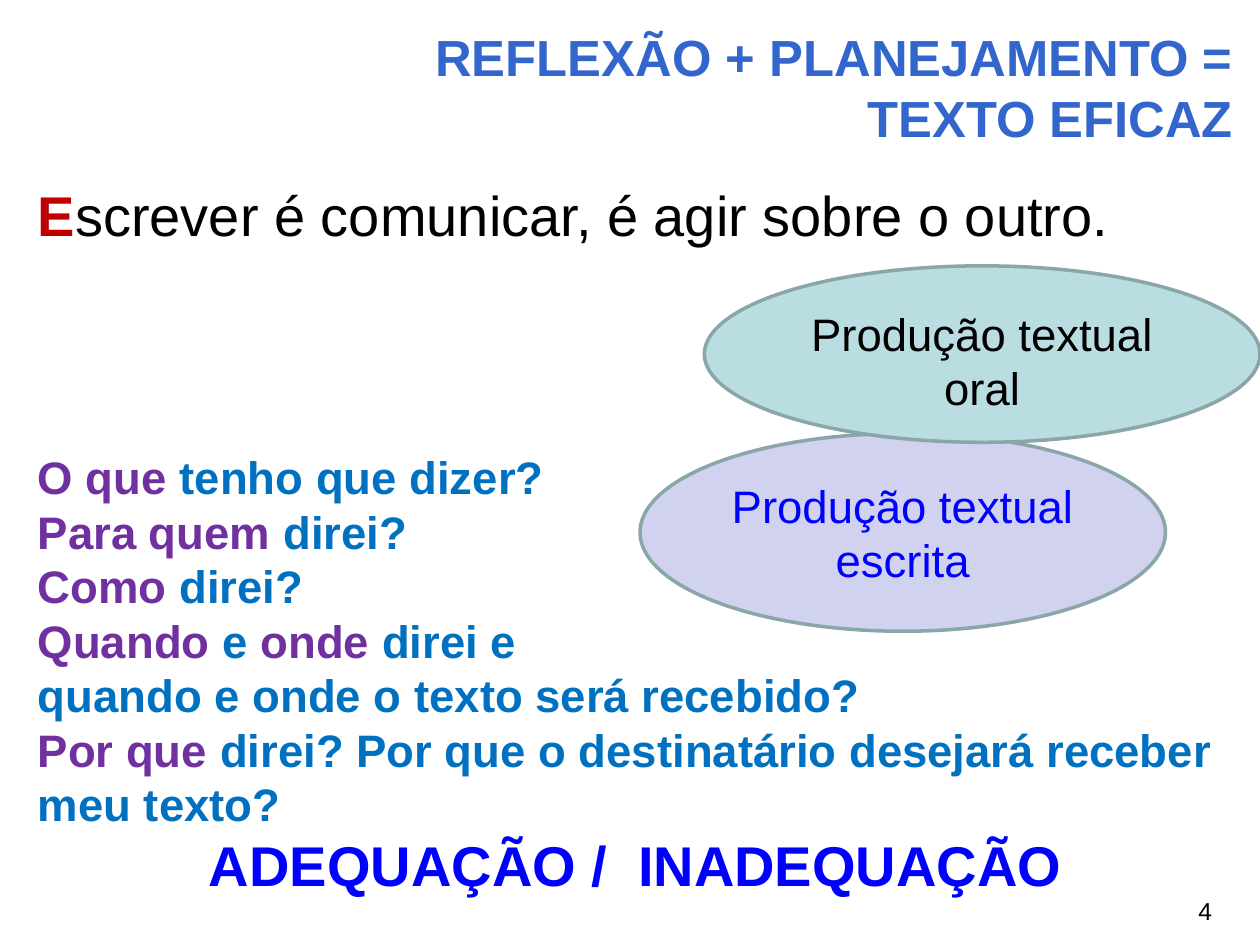
from pptx import Presentation
from pptx.dml.color import RGBColor
from pptx.enum.shapes import MSO_SHAPE
from pptx.enum.text import MSO_ANCHOR, MSO_AUTO_SIZE, PP_ALIGN
from pptx.util import Inches, Pt
from lxml import etree

OVAL = MSO_SHAPE.OVAL
MIDDLE = MSO_ANCHOR.MIDDLE
NO_FIT = MSO_AUTO_SIZE.NONE
LEFT, CENTER, RIGHT = PP_ALIGN.LEFT, PP_ALIGN.CENTER, PP_ALIGN.RIGHT

FONT = "Arial"
WIDTH, HEIGHT = Inches(10), Inches(7.5)
COLORS = {
    "title": "3366CC", "red": "C00000", "black": "000000",
    "purple": "7030A0", "blue": "0070C0", "strong blue": "0000FF",
    "lilac": "D1D1F0", "teal": "BADDE1", "outline": "8AA6A8",
}
LARGE, MEDIUM = 32, 26
QUESTIONS = [
    [("O que ", "purple"), ("tenho que dizer?", "blue")],
    [("Para quem", "purple"), (" direi?", "blue")],
    [("Como", "purple"), (" direi?", "blue")],
    [("Quando", "purple"), (" e ", "blue"), ("onde", "purple"), (" direi e", "blue")],
    [("quando e onde o texto será recebido?", "blue")],
    [("Por que ", "purple"),
     ("direi? Por que o destinatário desejará receber meu texto?", "blue")],
]


def color(name):
    return RGBColor.from_string(COLORS[name])


def area(left, top, width, height):
    """Turn percentages of the slide's size into lengths."""
    return (int(WIDTH * left / 100), int(HEIGHT * top / 100),
            int(WIDTH * width / 100), int(HEIGHT * height / 100))


def place(shape, *shares):
    shape.left, shape.top, shape.width, shape.height = area(*shares)


def write(para, runs, size, align=LEFT, bold=False):
    para.alignment = align
    para.space_before = Pt(0)
    para.font.name, para.font.size, para.font.bold = FONT, Pt(size), bold
    for text, color_name in runs:
        span = para.add_run()
        span.text = text
        span.font.color.rgb = color(color_name)


def remove_bullet(para):
    properties = para._p.get_or_add_pPr()
    properties.set("marL", "0")
    properties.set("indent", "0")
    namespace = properties.nsmap["a"]
    etree.SubElement(properties, f"{{{namespace}}}buNone")


def add_title(page):
    title = page.shapes.title
    place(title, 20.1, 1.73, 78.8, 14.93)
    frame = title.text_frame
    frame.auto_size, frame.vertical_anchor = NO_FIT, MIDDLE
    write(frame.paragraphs[0], [("REFLEXÃO + PLANEJAMENTO = TEXTO EFICAZ", "title")],
          29, RIGHT, True)


def add_body(page):
    body = page.placeholders[1]
    place(body, 2, 18.4, 96.9, 78.13)
    frame = body.text_frame
    frame.auto_size = NO_FIT

    # Opening statement with a highlighted initial
    opening = frame.paragraphs[0]
    write(opening, [("E", "red"), ("screver é comunicar, é agir sobre o outro.", "black")],
          LARGE)
    opening.runs[0].font.bold = True

    # Questions, set below a gap of three large lines
    questions = [frame.add_paragraph() for _ in QUESTIONS]
    for para, runs in zip(questions, QUESTIONS):
        write(para, runs, MEDIUM, bold=True)
    questions[0].space_before = Pt(3 * LARGE * 1.2)

    # Conclusion
    write(frame.add_paragraph(), [("ADEQUAÇÃO /  INADEQUAÇÃO", "strong blue")],
          LARGE, CENTER, True)
    for para in frame.paragraphs:
        remove_bullet(para)


def add_oval(page, shares, text, fill, text_color, top_margin=0.05):
    oval = page.shapes.add_shape(OVAL, *area(*shares))
    oval.shadow.inherit = False
    oval.fill.solid()
    oval.fill.fore_color.rgb = color(fill)
    oval.line.color.rgb = color("outline")
    oval.line.width = Pt(2)
    frame = oval.text_frame
    frame.word_wrap, frame.vertical_anchor = True, MIDDLE
    frame.margin_top = Inches(top_margin)
    write(frame.paragraphs[0], [(text, text_color)], MEDIUM, CENTER)


def add_page_number(page):
    box = page.shapes.add_textbox(*area(92.5, 94.13, 6.3, 4.53))
    box.text_frame.word_wrap = True
    write(box.text_frame.paragraphs[0], [("4", "black")], 14, CENTER)


def main():
    deck = Presentation()
    deck.slide_width, deck.slide_height = WIDTH, HEIGHT
    page = deck.slides.add_slide(deck.slide_layouts[1])
    add_page_number(page)
    add_title(page)
    add_body(page)
    add_oval(page, (50.8, 45.87, 41.7, 20.93), "Produção textual escrita",
             "lilac", "strong blue")
    add_oval(page, (55.9, 28.13, 44.1, 18.67), "Produção textual oral",
             "teal", "black", top_margin=0.15)
    deck.save("out.pptx")


if __name__ == "__main__":
    main()
